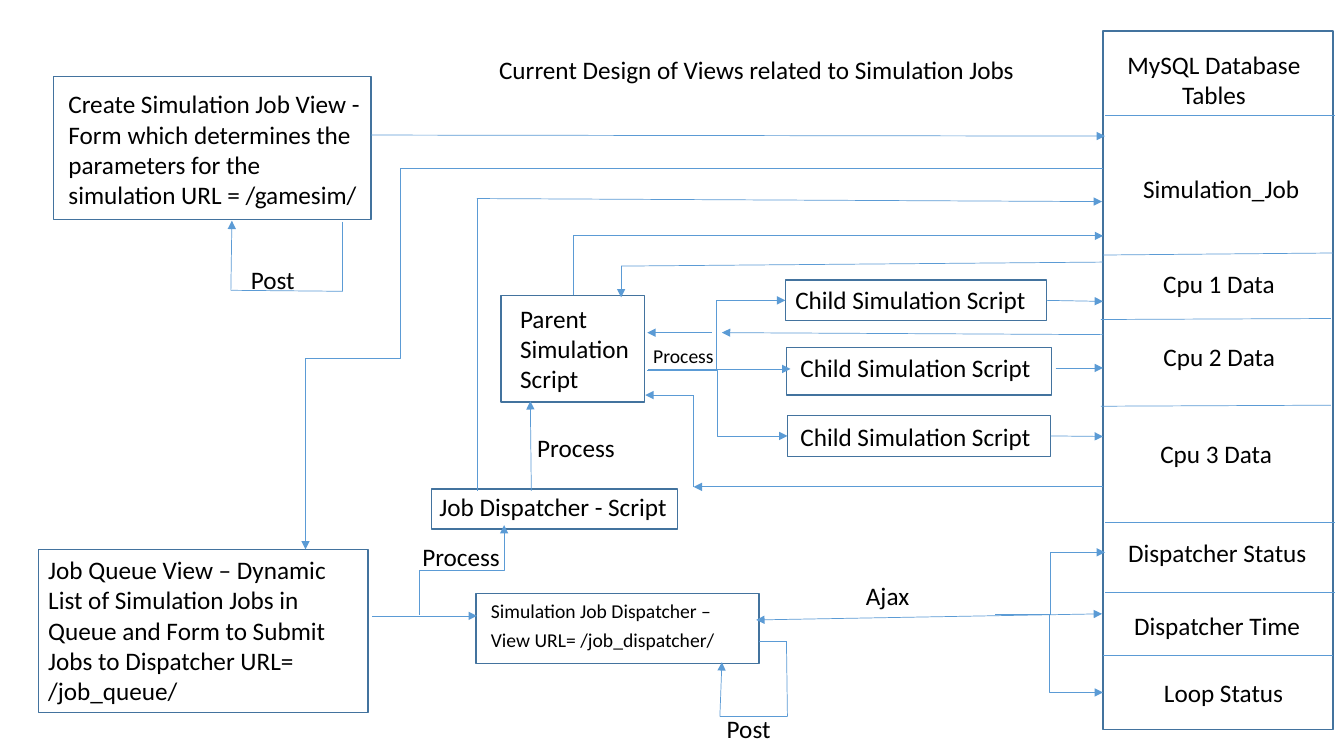
import itertools
from dataclasses import dataclass
from typing import Optional

import lxml.etree
import pptx
import pptx.dml.color
import pptx.enum.shapes
import pptx.enum.text
import pptx.oxml.ns
import pptx.util

PX = 9144
BLUE = pptx.dml.color.RGBColor(0x5B, 0x9B, 0xD5)
BORDER = pptx.dml.color.RGBColor(0x43, 0x73, 0x9E)
BLACK = pptx.dml.color.RGBColor(0, 0, 0)
CENTER = pptx.enum.text.PP_ALIGN.CENTER
LEFT = pptx.enum.text.PP_ALIGN.LEFT
STRAIGHT = pptx.enum.shapes.MSO_CONNECTOR.STRAIGHT
ELBOW = pptx.enum.shapes.MSO_CONNECTOR.ELBOW
qn = pptx.oxml.ns.qn


@dataclass(frozen=True)
class Box:
    x: int
    y: int
    w: int
    h: int


@dataclass(frozen=True)
class Label:
    text: str
    box: Box
    size: int = 18
    wrap: bool = True
    align: int = LEFT
    gap: int = 0


@dataclass(frozen=True)
class Route:
    points: tuple
    head: bool = False
    tail: bool = True


@dataclass(frozen=True)
class Elbow:
    start: tuple
    end: tuple
    vertical: bool = False
    single: bool = False


BOXES = [
    Box(53, 76, 315, 142),
    Box(1094, 31, 228, 693),
    Box(38, 545, 327, 162),
    Box(472, 589, 281, 69),
    Box(428, 485, 244, 40),
    Box(497, 293, 142, 106),
    Box(779, 278, 259, 40),
    Box(780, 345, 263, 47),
    Box(781, 412, 261, 41),
]

LABELS = [
    Label("Create Simulation Job View -\nForm which determines the parameters for the "
          "simulation URL = /gamesim/", Box(58, 83, 315, 131)),
    Label("Post", Box(239, 257, 64, 40), wrap=False),
    Label("MySQL Database\nTables", Box(1107, 44, 194, 71), wrap=False, align=CENTER),
    Label("Simulation_Job", Box(1124, 167, 177, 40), wrap=False),
    Label("Job Queue View – Dynamic List of Simulation Jobs in Queue and Form to Submit "
          "Jobs to Dispatcher URL= /job_queue/", Box(38, 545, 310, 162)),
    Label("Simulation Job Dispatcher –\nView URL= /job_dispatcher/",
          Box(477, 589, 254, 64), size=14, gap=4),
    Label("Job Dispatcher - Script", Box(426, 483, 274, 40)),
    Label("Parent\nSimulation\nScript", Box(506, 296, 133, 101)),
    Label("Cpu 1 Data", Box(1143, 261, 132, 40), wrap=False, align=CENTER),
    Label("Cpu 2 Data", Box(1144, 334, 132, 40), wrap=False),
    Label("Cpu 3 Data", Box(1141, 430, 132, 40), wrap=False),
    Label("Dispatcher Status", Box(1109, 528, 199, 40)),
    Label("Dispatcher Time", Box(1115, 601, 199, 40)),
    Label("Loop Status", Box(1114, 667, 199, 40), align=CENTER),
    Label("Post", Box(711, 703, 64, 40), wrap=False),
    Label("Ajax", Box(849, 571, 63, 40), wrap=False),
    Label("Process", Box(409, 532, 115, 40)),
    Label("Process", Box(523, 424, 115, 40)),
    Label("Process", Box(638, 336, 99, 34), size=14),
] + [
    Label("Child Simulation Script", Box(x, 277 + 68 * i, 260, 40))
    for i, x in enumerate((779, 784, 784))
]

DIVIDERS = [
    Route(((x, left_y), (x + 228, right_y)), tail=False)
    for x, left_y, right_y in (
        (1096, 114, 114), (1094, 253, 251), (1092, 317, 316), (1092, 403, 402),
        (1096, 518, 518), (1096, 588, 588), (1094, 650, 650))
]

ROUTES = [
    Route(((340, 220), (340, 289), (229, 288), (230, 219))),
    Route(((368, 134), (1096, 135))),
    Route(((369, 611), (473, 611))),
    Route(((527, 487), (526, 398))),
    Route(((703, 366), (784, 366))),
    Route(((473, 487), (473, 197), (1093, 200))),
    Route(((753, 636), (780, 636), (781, 711), (714, 711), (716, 657))),
    Route(((1038, 299), (1094, 299))),
    Route(((1047, 365), (1094, 365))),
    Route(((1041, 433), (1094, 433))),
    Route(((750, 615), (1093, 609)), head=True),
    Route(((1094, 167), (397, 167)), tail=False),
    Route(((1094, 260), (616, 264), (616, 295))),
    Route(((1094, 332), (716, 330))),
    Route(((706, 330), (642, 330))),
    Route(((1094, 483), (688, 483))),
    Route(((688, 483), (688, 392), (640, 392))),
]

ELBOWS = [
    Elbow((416, 610), (500, 521), vertical=True),
    Elbow((643, 366), (779, 299)),
    Elbow((642, 367), (781, 432)),
    Elbow((569, 293), (1094, 234), vertical=True, single=True),
    Elbow((987, 610), (1096, 548)),
    Elbow((987, 610), (1094, 687)),
    Elbow((397, 167), (303, 545), vertical=True),
]


def px(value: float) -> int:
    return pptx.util.Emu(int(value * PX))


def write_text(sp, text: str, *, size: int = 18, wrap: bool = True,
               align: int = LEFT, gap: int = 0) -> None:
    tf = sp.text_frame
    tf.word_wrap = wrap
    tf.auto_size = pptx.enum.text.MSO_AUTO_SIZE.SHAPE_TO_FIT_TEXT
    tf.vertical_anchor = pptx.enum.text.MSO_ANCHOR.TOP
    for i, line in enumerate(text.split("\n")):
        p = tf.add_paragraph() if i else tf.paragraphs[0]
        p.alignment = align
        p.space_before = pptx.util.Pt(gap if i else 0)
        r = p.add_run()
        r.text = line
        r.font.name = "Calibri"
        r.font.size = pptx.util.Pt(size)
        r.font.color.rgb = BLACK


def add_box(s, box: Box):
    sp = s.shapes.add_shape(pptx.enum.shapes.MSO_SHAPE.RECTANGLE,
                            px(box.x), px(box.y), px(box.w), px(box.h))
    sp.shadow.inherit = False
    sp.fill.background()
    sp.line.color.rgb = BORDER
    sp.line.width = pptx.util.Pt(1)
    return sp


def add_line(s, kind: int, start: tuple, end: tuple, head: bool, tail: bool):
    c = s.shapes.add_connector(kind, px(start[0]), px(start[1]), px(end[0]), px(end[1]))
    c.line.color.rgb = BLUE
    c.line.width = pptx.util.Pt(0.5)
    ln = c.element.spPr.find(qn("a:ln"))
    for tag, shown in (("a:headEnd", head), ("a:tailEnd", tail)):
        if shown:
            lxml.etree.SubElement(ln, qn(tag)).set("type", "triangle")
    lxml.etree.SubElement(c.element.spPr, qn("a:effectLst"))
    return c


def find_site(rects: list, point: tuple) -> Optional[tuple]:
    for box, sp in rects:
        mid_x, mid_y = box.x + box.w / 2, box.y + box.h / 2
        sites = ((mid_x, box.y), (box.x, mid_y), (mid_x, box.y + box.h), (box.x + box.w, mid_y))
        for i, (x, y) in enumerate(sites):
            if abs(x - point[0]) <= 1 and abs(y - point[1]) <= 1:
                return sp, i
    return None


def join(c, rects: list, start: tuple, end: tuple) -> None:
    for connect, point in ((c.begin_connect, start), (c.end_connect, end)):
        site = find_site(rects, point)
        if site:
            connect(*site)


def add_route(s, route: Route, rects: list) -> None:
    last = len(route.points) - 2
    for i, (start, end) in enumerate(itertools.pairwise(route.points)):
        c = add_line(s, STRAIGHT, start, end, route.head and i == 0, route.tail and i == last)
        join(c, rects, start, end)


def add_elbow(s, elbow: Elbow, rects: list) -> None:
    (x1, y1), (x2, y2) = elbow.start, elbow.end
    if not elbow.vertical:
        join(add_line(s, ELBOW, elbow.start, elbow.end, False, True),
             rects, elbow.start, elbow.end)
        return
    mid_x, mid_y = (x1 + x2) / 2, (y1 + y2) / 2
    half_w, half_h = (y2 - y1) / 2, (x2 - x1) / 2
    c = add_line(s, ELBOW, (mid_x - half_w, mid_y + half_h),
                 (mid_x + half_w, mid_y - half_h), False, True)
    c.element.spPr.find(qn("a:xfrm")).set("rot", "5400000")
    if elbow.single:
        c.element.spPr.find(qn("a:prstGeom")).set("prst", "bentConnector2")


def main() -> None:
    prs = pptx.Presentation()
    prs.slide_width, prs.slide_height = px(1333), px(750)
    s = prs.slides.add_slide(prs.slide_layouts[5])
    title = s.shapes.title
    title.left, title.top, title.width, title.height = px(485), px(49), px(543), px(40)
    write_text(title, "Current Design of Views related to Simulation Jobs", wrap=False)
    rects = [(box, add_box(s, box)) for box in BOXES]
    for route in DIVIDERS + ROUTES:
        add_route(s, route, rects)
    for elbow in ELBOWS:
        add_elbow(s, elbow, rects)
    for label in LABELS:
        b = label.box
        sp = s.shapes.add_textbox(px(b.x), px(b.y), px(b.w), px(b.h))
        write_text(sp, label.text, size=label.size, wrap=label.wrap,
                   align=label.align, gap=label.gap)
    prs.save("out.pptx")


if __name__ == "__main__":
    main()
